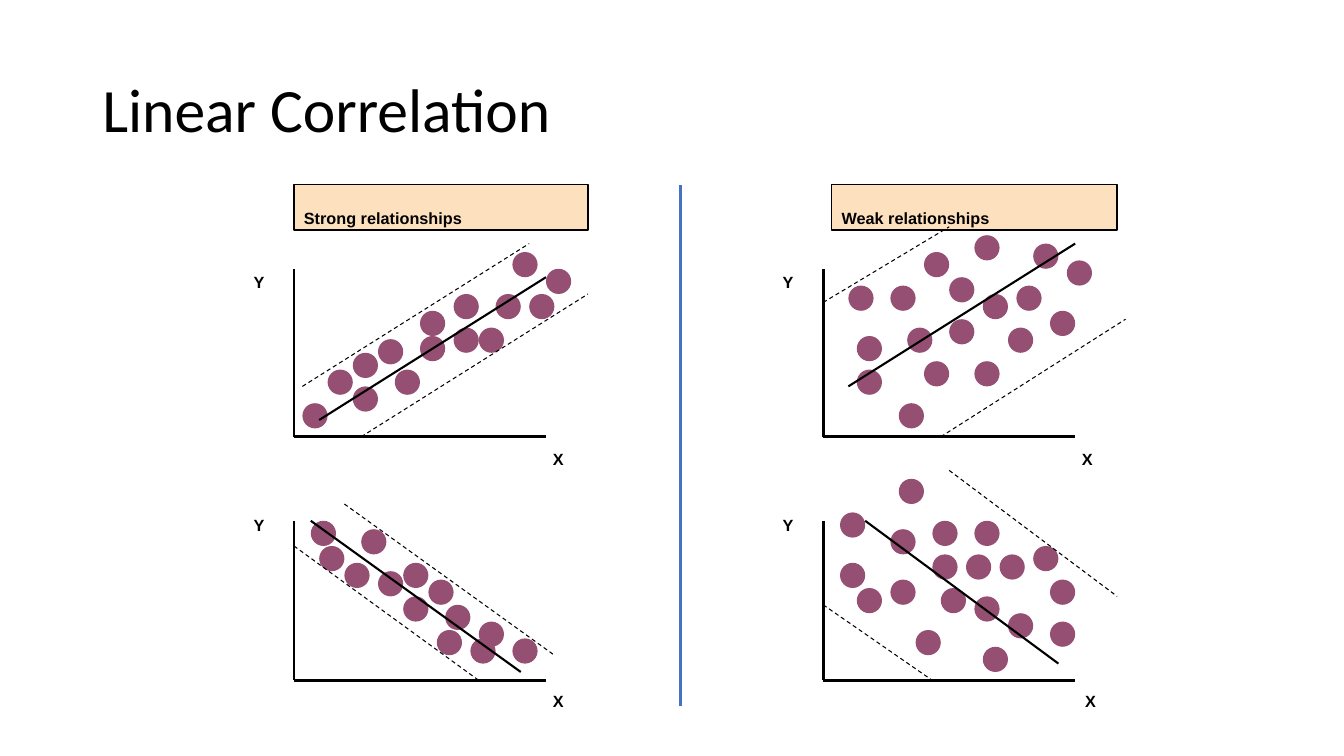
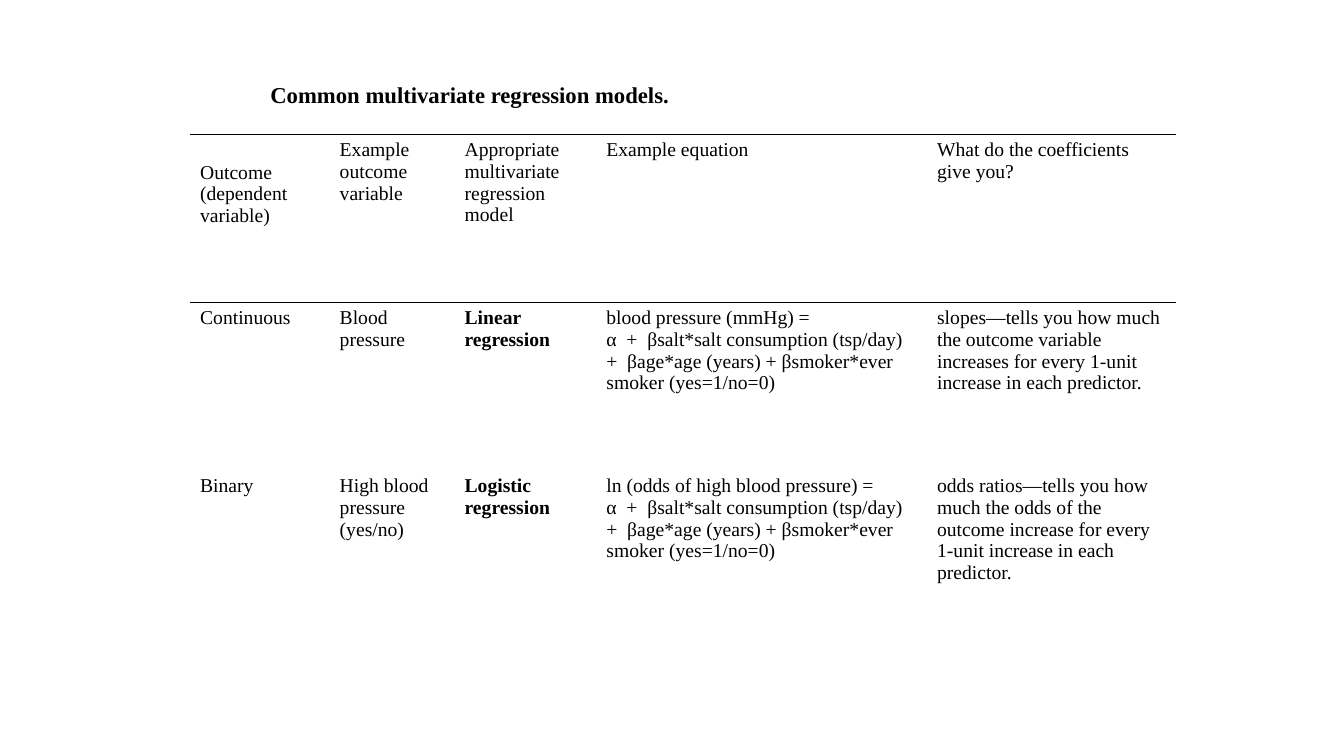
"""Build two slides: linear correlation scatter panels and a table of regression models."""
import pptx
import pptx.dml.color
import pptx.enum.dml
import pptx.enum.shapes
import pptx.enum.text
import pptx.oxml.ns
import pptx.util
from lxml import etree

PX = 9525
BLACK = pptx.dml.color.RGBColor(0x00, 0x00, 0x00)
PLUM = pptx.dml.color.RGBColor(0x95, 0x4F, 0x72)
PEACH = pptx.dml.color.RGBColor(0xFD, 0xE0, 0xBD)
BLUE = pptx.dml.color.RGBColor(0x44, 0x72, 0xC4)
SERIF = "Times New Roman"
MIDDLE = pptx.enum.text.MSO_ANCHOR.MIDDLE
DASH = pptx.enum.dml.MSO_LINE.DASH

DOT = 24
AXIS_LENGTH = 240
LABEL_SIZE = (37, 41)
DIVIDER = (648, 176, 648, 672)
HEADINGS = [
    ("Strong relationships", (280, 176, 280, 43)),
    ("Weak relationships", (792, 176, 272, 43)),
]
PANELS = [
    {
        "left": 280, "top": 256, "bottom": 416,
        "y_label": (232, 237), "x_label": (517, 405),
        "dots": [(288, 384), (312, 352), (488, 240), (504, 280), (336, 368),
                 (520, 256), (432, 312), (432, 280), (472, 280), (400, 296),
                 (336, 336), (360, 323), (456, 312), (400, 320), (376, 352)],
        "bounds": [(288, 368, 504, 232), (344, 416, 560, 280)],
        "trend": (304, 400, 520, 264),
    },
    {
        "left": 280, "top": 496, "bottom": 648,
        "y_label": (232, 468), "x_label": (517, 636),
        "dots": [(448, 608), (304, 520), (488, 608), (344, 504), (424, 576),
                 (456, 592), (384, 536), (296, 496), (328, 536), (360, 544),
                 (416, 600), (408, 552), (384, 568)],
        "bounds": [(328, 480, 528, 624), (280, 520, 456, 648)],
        "trend": (296, 496, 496, 640),
    },
    {
        "left": 784, "top": 256, "bottom": 416,
        "y_label": (736, 237), "x_label": (1021, 405),
        "dots": [(904, 264), (816, 352), (928, 344), (968, 272), (848, 272),
                 (856, 384), (880, 344), (936, 280), (880, 240), (816, 320),
                 (808, 272), (864, 312), (960, 312), (904, 304), (928, 224),
                 (1016, 248), (1000, 296), (984, 232)],
        "bounds": [(784, 288, 904, 216), (896, 416, 1072, 304)],
        "trend": (808, 368, 1024, 232),
    },
    {
        "left": 784, "top": 496, "bottom": 648,
        "y_label": (736, 468), "x_label": (1024, 636),
        "dots": [(800, 536), (800, 488), (848, 552), (936, 616), (816, 560),
                 (888, 496), (928, 568), (920, 528), (888, 528), (848, 504),
                 (952, 528), (896, 560), (872, 600), (960, 584), (1000, 552),
                 (984, 520), (1000, 592), (928, 496), (856, 456)],
        "bounds": [(904, 448, 1064, 568), (784, 576, 888, 648)],
        "trend": (824, 496, 1008, 632),
    },
]

PREDICTORS = ("α  +  βsalt*salt consumption (tsp/day) +  βage*age (years) "
              "+ βsmoker*ever smoker (yes=1/no=0)")
TABLE_AT = (181, 128)
COLUMN_WIDTHS = [133, 119, 135, 315, 237]
ROW_HEIGHTS = [160, 160, 184]
MODEL_COLUMN = 2
RULED_SIDES = [("lnT", "lnB"), ("lnT",), ()]
ROWS = [
    [["Outcome (dependent variable)"], ["Example outcome variable"],
     ["Appropriate multivariate regression model"], ["Example equation"],
     ["What do the coefficients give you?"]],
    [["Continuous"], ["Blood pressure"], ["Linear regression"],
     ["blood pressure (mmHg) =", PREDICTORS],
     ["slopes—tells you how much the outcome variable increases for every "
      "1-unit increase in each predictor."]],
    [["Binary"], ["High blood pressure (yes/no)"], ["Logistic regression"],
     ["ln (odds of high blood pressure) =", PREDICTORS],
     ["odds ratios—tells you how much the odds of the outcome increase for "
      "every 1-unit increase in each predictor."]],
]


def emu(lengths):
    return [pptx.util.Emu(length * PX) for length in lengths]


def write(frame, lines, size, font, bold=False, lowered=False):
    frame.word_wrap = True
    for number, line in enumerate(lines):
        para = frame.add_paragraph() if number else frame.paragraphs[0]
        para.alignment = pptx.enum.text.PP_ALIGN.LEFT
        span = para.add_run()
        span.text = line
        span.font.size = pptx.util.Pt(size)
        span.font.name = font
        span.font.bold = bold
        span.font.color.rgb = BLACK
        if lowered:
            span._r.get_or_add_rPr().set("baseline", "-25000")


def add_lowered(box, text, size, font):
    write(box.text_frame, [text], size, font, bold=True, lowered=True)
    box.text_frame.auto_size = pptx.enum.text.MSO_AUTO_SIZE.SHAPE_TO_FIT_TEXT


def add_shape(page, kind, place, fill, outline=None):
    shape = page.shapes.add_shape(kind, *emu(place))
    shape.shadow.inherit = False
    shape.fill.solid()
    shape.fill.fore_color.rgb = fill
    if outline is None:
        shape.line.fill.background()
    else:
        shape.line.color.rgb = outline
        shape.line.width = pptx.util.Pt(1)
    return shape


def add_line(page, ends, width, color=BLACK, dash=None):
    line = page.shapes.add_connector(
        pptx.enum.shapes.MSO_CONNECTOR.STRAIGHT, *emu(ends))
    line.line.color.rgb = color
    line.line.width = pptx.util.Pt(width)
    if dash:
        line.line.dash_style = dash
    etree.SubElement(line._element.spPr, pptx.oxml.ns.qn("a:effectLst"))


def add_panel(page, panel):
    left, top, bottom = panel["left"], panel["top"], panel["bottom"]
    add_line(page, (left, top, left, bottom), 2)
    add_line(page, (left, bottom, left + AXIS_LENGTH, bottom), 2)
    for text, corner in (("Y", panel["y_label"]), ("X", panel["x_label"])):
        box = page.shapes.add_textbox(*emu(corner + LABEL_SIZE))
        add_lowered(box, text, 20, "Arial")
    for corner in panel["dots"]:
        add_shape(page, pptx.enum.shapes.MSO_SHAPE.OVAL, corner + (DOT, DOT), PLUM)
    for bound in panel["bounds"]:
        add_line(page, bound, 0.75, dash=DASH)
    add_line(page, panel["trend"], 1.5)


def set_borders(cell, ruled):
    properties = cell._tc.get_or_add_tcPr()
    for index, side in enumerate(("lnL", "lnR", "lnT", "lnB")):
        border = etree.Element(pptx.oxml.ns.qn("a:" + side), w="12700")
        if side in ruled:
            fill = etree.SubElement(border, pptx.oxml.ns.qn("a:solidFill"))
            etree.SubElement(fill, pptx.oxml.ns.qn("a:srgbClr"), val=str(BLACK))
        else:
            etree.SubElement(border, pptx.oxml.ns.qn("a:noFill"))
        properties.insert(index, border)


def build_correlation(page):
    for text, place in HEADINGS:
        box = add_shape(page, pptx.enum.shapes.MSO_SHAPE.RECTANGLE, place, PEACH, BLACK)
        box.text_frame.vertical_anchor = pptx.enum.text.MSO_ANCHOR.TOP
        add_lowered(box, text, 20, "Arial")
    add_line(page, DIVIDER, 2.25, BLUE)
    for panel in PANELS:
        add_panel(page, panel)
    title = page.shapes.add_textbox(*emu((88, 38, 1104, 139)))
    title.text_frame.vertical_anchor = MIDDLE
    write(title.text_frame, ["Linear Correlation"], 44, "Calibri")
    title.text_frame.paragraphs[0].line_spacing = 0.9


def build_models(page):
    title = page.shapes.add_textbox(*emu((248, 50, 683, 55)))
    title.text_frame.vertical_anchor = MIDDLE
    add_lowered(title, "Common multivariate regression models.", 28, SERIF)
    size = (sum(COLUMN_WIDTHS), sum(ROW_HEIGHTS))
    table = page.shapes.add_table(
        len(ROWS), len(COLUMN_WIDTHS), *emu(TABLE_AT + size)).table
    table.first_row = False
    table.horz_banding = False
    for column, width in zip(table.columns, emu(COLUMN_WIDTHS)):
        column.width = width
    for row, height in zip(table.rows, emu(ROW_HEIGHTS)):
        row.height = height
    for row_number, row in enumerate(ROWS):
        for column_number, lines in enumerate(row):
            cell = table.cell(row_number, column_number)
            cell.fill.background()
            set_borders(cell, RULED_SIDES[row_number])
            bold = row_number > 0 and column_number == MODEL_COLUMN
            write(cell.text_frame, lines, 14, SERIF, bold)
    table.cell(0, 0).margin_top = pptx.util.Emu(26 * PX)


def main():
    deck = pptx.Presentation()
    deck.slide_width, deck.slide_height = emu((1280, 720))
    for build in (build_correlation, build_models):
        build(deck.slides.add_slide(deck.slide_layouts[6]))
    deck.save("out.pptx")


if __name__ == "__main__":
    main()
